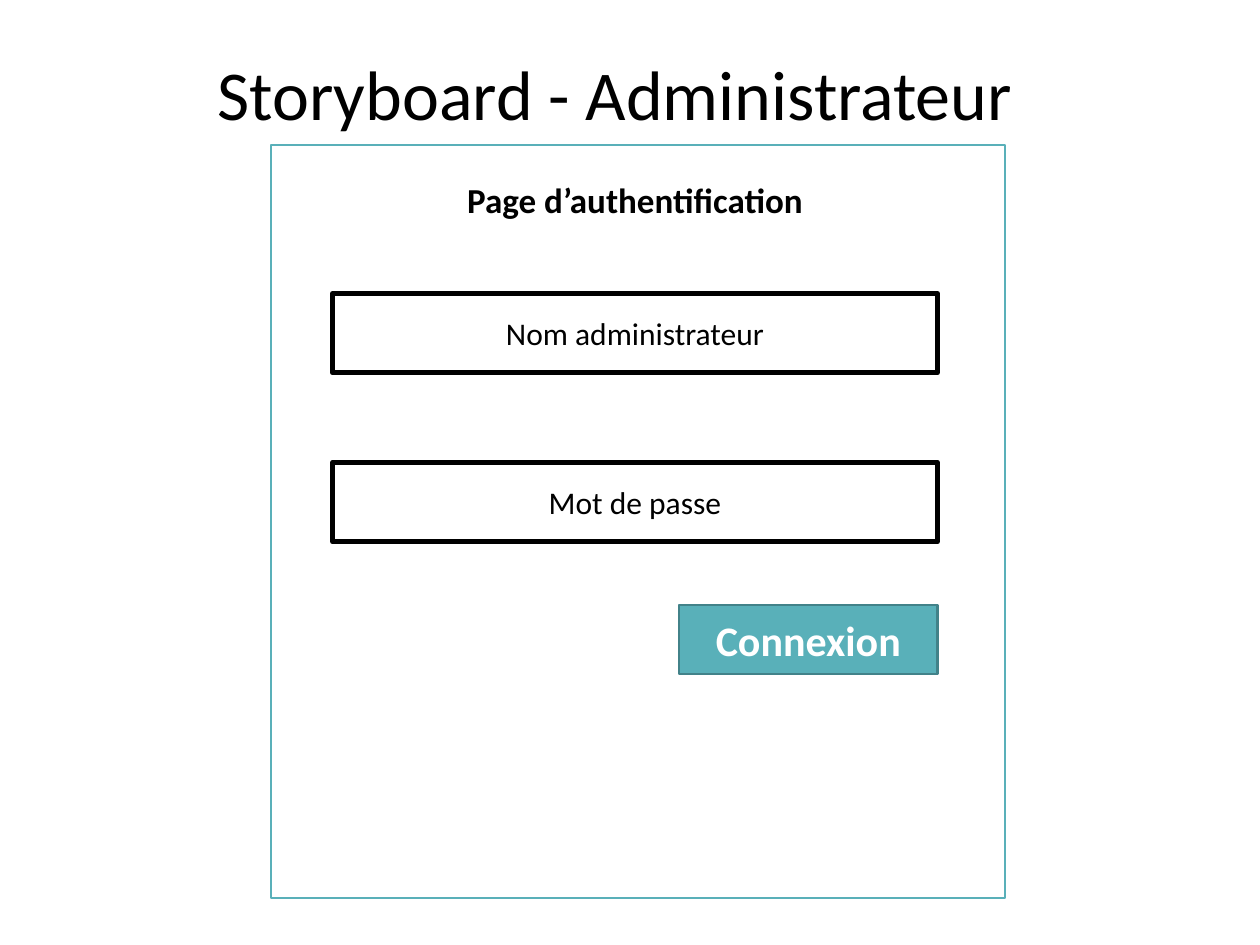
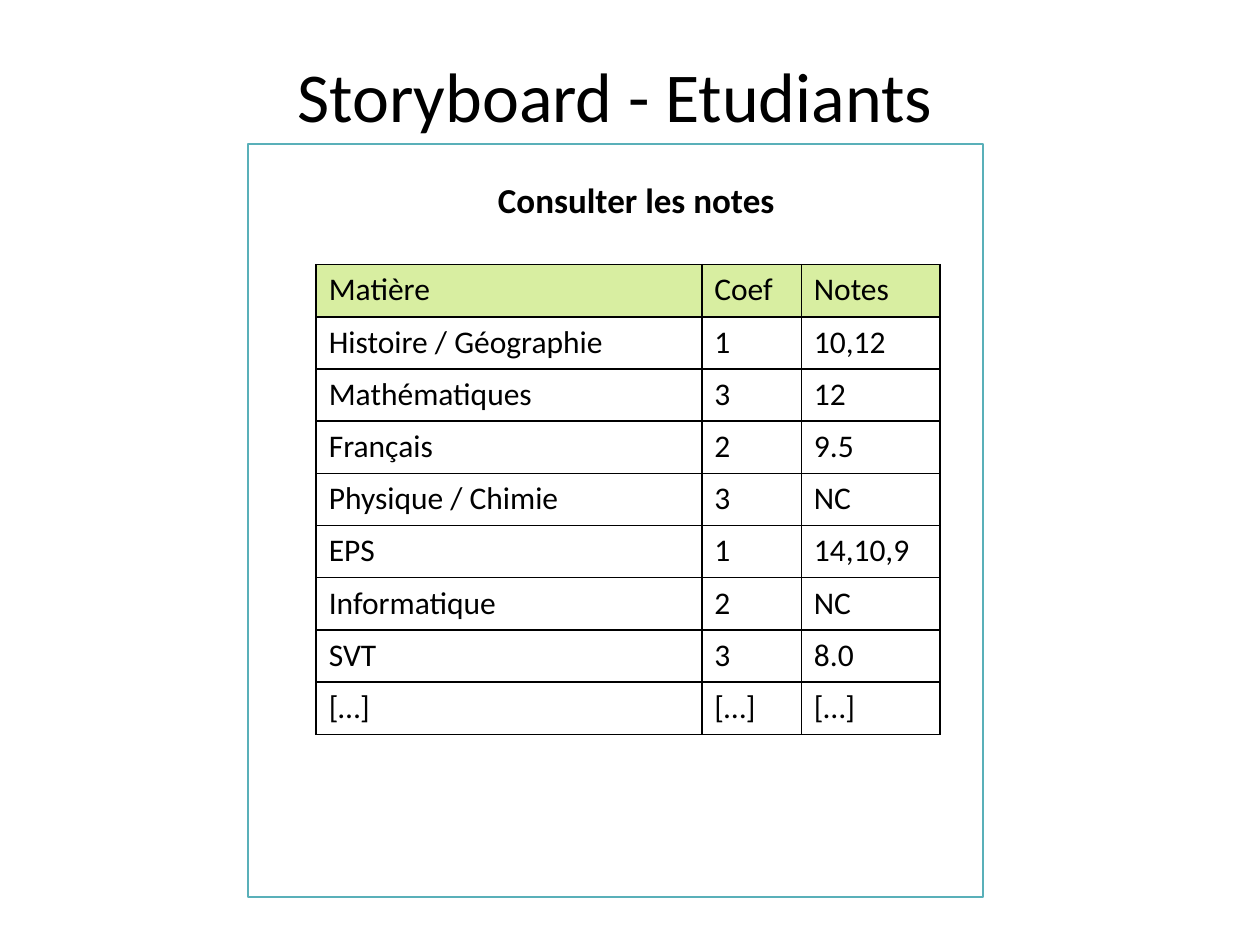
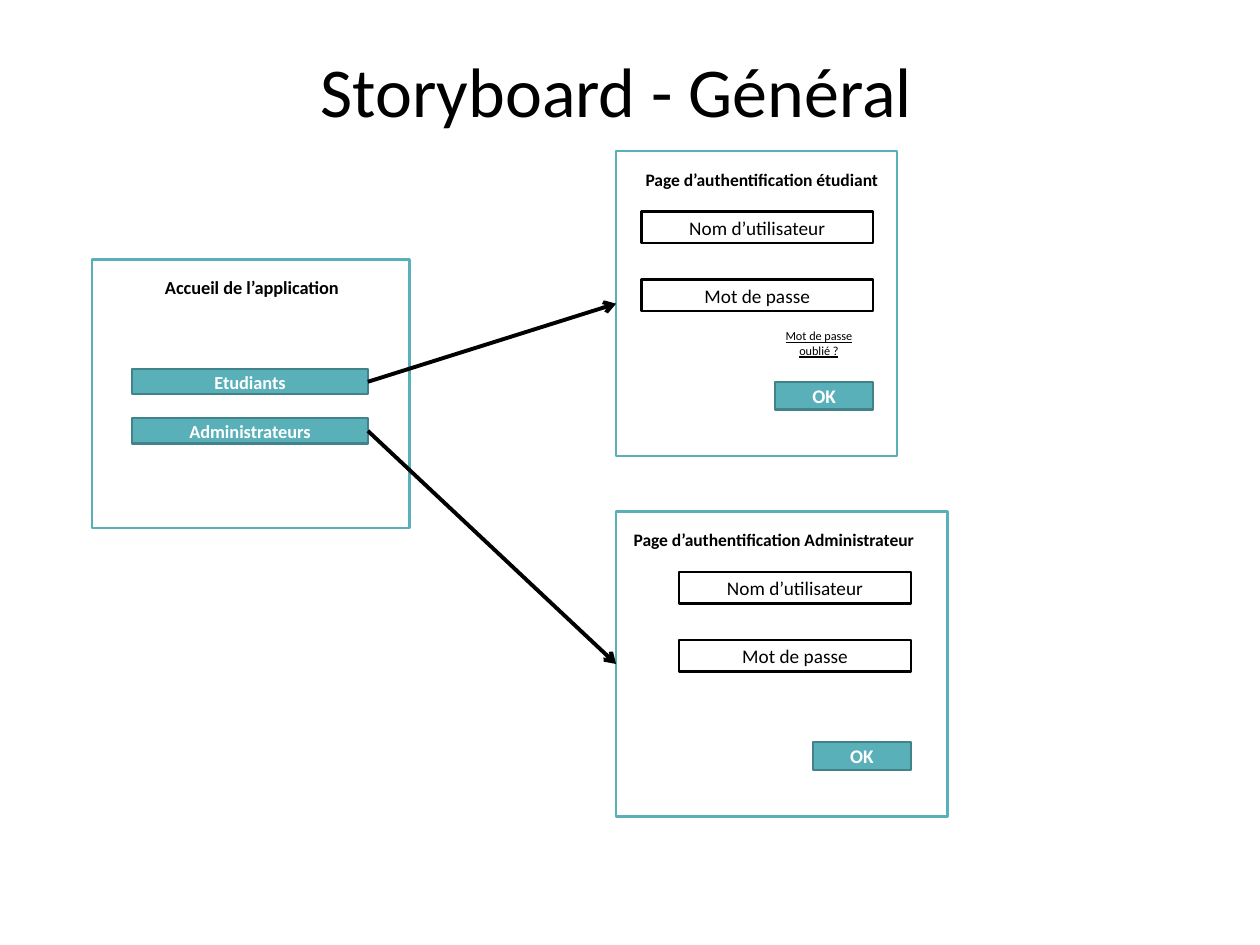
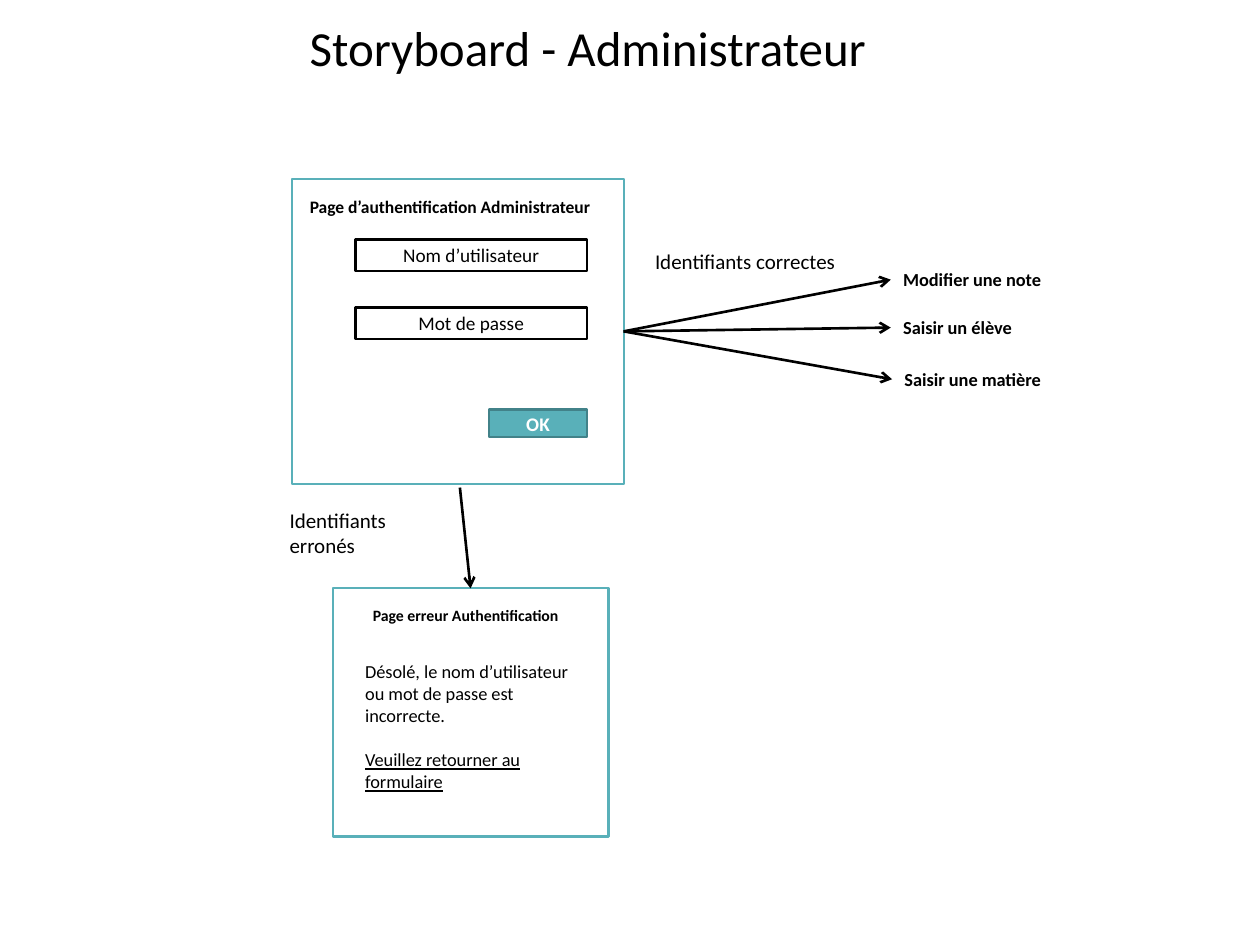
"""Build four storyboard slides for a school marks application."""
from dataclasses import dataclass, replace
from typing import Any, Optional

from lxml import etree
from pptx import Presentation
from pptx import util as u
from pptx.dml import color as dml
from pptx.enum import shapes, text
from pptx.oxml import ns

PX = 9144
FACE = "Calibri"
HEX = {
    "ink": "000000",
    "paper": "FFFFFF",
    "teal": "59B0B9",
    "edge": "428289",
    "lime": "D8EEA1",
}
MARKS = [
    ("Matière", "Coef", "Notes"),
    ("Histoire / Géographie", "1", "10,12"),
    ("Mathématiques", "3", "12"),
    ("Français", "2", "9.5"),
    ("Physique / Chimie", "3", "NC"),
    ("EPS", "1", "14,10,9"),
    ("Informatique", "2", "NC"),
    ("SVT", "3", "8.0"),
    ("[…]", "[…]", "[…]"),
]
LEFT, MID = text.PP_ALIGN.LEFT, text.PP_ALIGN.CENTER
TOP, WEST, EAST = 0, 1, 3


@dataclass(frozen=True)
class Area:
    x: int
    y: int
    w: int
    h: int

    def emu(self) -> list[u.Emu]:
        return [u.Emu(n * PX) for n in (self.x, self.y, self.w, self.h)]


@dataclass(frozen=True)
class Type:
    size: float
    hue: str = "ink"
    bold: bool = False
    under: bool = False
    align: Any = MID
    after: float = 0


@dataclass(frozen=True)
class Skin:
    fill: Optional[str]
    line: str
    width: float


PANEL = Skin("paper", "teal", 1.25)
BUTTON = Skin("teal", "edge", 1.25)
FIELD = Skin("paper", "ink", 1.5)
CLEAR = replace(FIELD, fill=None)


def rgb(name: str) -> dml.RGBColor:
    return dml.RGBColor.from_string(HEX[name])


def write(frame: Any, *parts: tuple[str, Type]) -> None:
    """Write one paragraph for each part, breaking lines at newlines."""
    frame.word_wrap = True
    for i, (words, look) in enumerate(parts):
        para = frame.add_paragraph() if i else frame.paragraphs[0]
        para.alignment = look.align
        para.space_after = u.Pt(look.after)
        for j, line in enumerate(words.split("\n")):
            if j:
                para.add_line_break()
            run = para.add_run()
            run.text = line
            font = run.font
            font.name, font.size = FACE, u.Pt(look.size)
            font.bold, font.underline = look.bold, look.under
            font.color.rgb = rgb(look.hue)


def label(host: Any, area: Area, *parts: tuple[str, Type]) -> Any:
    box = host.add_textbox(*area.emu())
    write(box.text_frame, *parts)
    return box


def block(host: Any, area: Area, skin: Skin, words: str = "", look: Type = Type(11)) -> Any:
    box = host.add_shape(shapes.MSO_SHAPE.RECTANGLE, *area.emu())
    box.shadow.inherit = False
    if skin.fill:
        box.fill.solid()
        box.fill.fore_color.rgb = rgb(skin.fill)
    else:
        box.fill.background()
    box.line.color.rgb = rgb(skin.line)
    box.line.width = u.Pt(skin.width)
    if words:
        box.text_frame.vertical_anchor = text.MSO_ANCHOR.MIDDLE
        write(box.text_frame, (words, look))
    return box


def button(host: Any, area: Area, words: str, size: float) -> Any:
    return block(host, area, BUTTON, words, Type(size, "paper", True))


def arrow(host: Any, width: float, goal: Any, side: int, start: Any = None,
          spot: tuple[int, int] = (0, 0)) -> None:
    """Draw an arrow to a side of goal, from the right of start or from a spot."""
    x, y = (n * PX for n in spot)
    link = host.add_connector(shapes.MSO_CONNECTOR.STRAIGHT, x, y, x, y)
    if start is not None:
        link.begin_connect(start, EAST)
    link.end_connect(goal, side)
    link.line.color.rgb = rgb("ink")
    link.line.width = u.Pt(width)
    etree.SubElement(link.line._get_or_add_ln(), ns.qn("a:tailEnd"), type="arrow")
    etree.SubElement(link._element.spPr, ns.qn("a:effectLst"))


def start(deck: Any, words: str, area: Area, size: float = 40) -> Any:
    """Add a title-only slide and return its shapes."""
    host = deck.slides.add_slide(deck.slide_layouts[5]).shapes
    title = host.title
    title.left, title.top, title.width, title.height = area.emu()
    frame = title.text_frame
    frame.auto_size = text.MSO_AUTO_SIZE.NONE
    frame.vertical_anchor = text.MSO_ANCHOR.TOP
    write(frame, (words, Type(size)))
    return host


def login(host: Any, area: Area, head: Area, words: str, inset: int) -> tuple[Any, Any]:
    """Draw a small login page and return its group shapes and its panel."""
    group = host.add_group_shape().shapes
    panel = block(group, area, PANEL)
    label(group, head, (words, Type(10, bold=True)))
    x, wide, small = area.x + inset, 184, 78
    block(group, Area(x, area.y + 48, wide, 25), FIELD, "Nom d’utilisateur")
    block(group, Area(x, area.y + 102, wide, 25), CLEAR, "Mot de passe")
    button(group, Area(x + wide - small, area.y + 183, small, 22), "OK", 11)
    return group, panel


def admin(host: Any, x: int, y: int) -> Any:
    return login(host, Area(x, y, 263, 242), Area(x - 5, y + 9, 260, 27),
                 "Page d’authentification Administrateur", 50)[1]


def grid(host: Any, area: Area, wide: tuple[int, ...]) -> None:
    """Draw the table of marks with thin black borders."""
    table = host.add_table(len(MARKS), len(wide), *area.emu()).table
    table.first_row = table.horz_banding = False
    for col, w in zip(table.columns, wide):
        col.width = u.Emu(w * PX)
    for r, row in enumerate(MARKS):
        for c, words in enumerate(row):
            cell = table.cell(r, c)
            props = cell._tc.get_or_add_tcPr()
            for side in ("lnL", "lnR", "lnT", "lnB"):
                line = etree.SubElement(props, ns.qn("a:" + side), w=str(u.Pt(1)))
                fill = etree.SubElement(line, ns.qn("a:solidFill"))
                etree.SubElement(fill, ns.qn("a:srgbClr"), val=HEX["ink"])
            if r:
                cell.fill.background()
            else:
                cell.fill.solid()
                cell.fill.fore_color.rgb = rgb("lime")
            write(cell.text_frame, (words, Type(18, align=LEFT)))


def access(deck: Any) -> None:
    host = start(deck, "Storyboard - Administrateur", Area(63, 35, 850, 77))
    block(host, Area(215, 115, 583, 598), PANEL)
    label(host, Area(264, 137, 480, 44), ("Page d’authentification", Type(20, bold=True)))
    for y, skin, words in ((233, FIELD, "Nom administrateur"), (367, CLEAR, "Mot de passe")):
        block(host, Area(264, y, 480, 63), replace(skin, width=3), words, Type(18))
    button(host, Area(539, 480, 205, 55), "Connexion", 24)


def marks(deck: Any) -> None:
    host = start(deck, "Storyboard - Etudiants", Area(63, 37, 850, 77))
    block(host, Area(197, 114, 583, 598), PANEL)
    label(host, Area(265, 137, 480, 44), ("Consulter les notes", Type(20, bold=True)))
    grid(host, Area(251, 210, 495, 373), (306, 79, 110))


def general(deck: Any) -> None:
    host = start(deck, "Storyboard - Général", Area(64, 33, 850, 77))
    home = host.add_group_shape().shapes
    block(home, Area(73, 206, 252, 213), PANEL)
    label(home, Area(96, 214, 208, 28), ("Accueil de l’application", Type(10.5, bold=True)))
    staff = button(home, Area(105, 332, 187, 20), "Administrateurs", 10.5)
    pupils = button(host, Area(105, 293, 187, 20), "Etudiants", 10.5)
    group, page = login(host, Area(489, 120, 223, 242), Area(497, 129, 215, 27),
                        "Page d’authentification étudiant", 20)
    label(group, Area(607, 256, 86, 25), ("Mot de passe oublié ?", Type(7, under=True)))
    arrow(host, 2.25, page, WEST, pupils)
    arrow(host, 2.25, admin(host, 489, 406), WEST, staff)


def paths(deck: Any) -> None:
    host = start(deck, "Storyboard - Administrateur", Area(106, 9, 721, 57), 28)
    page = admin(host, 232, 142)
    bold = Type(10.5, bold=True, align=LEFT)
    for x, y, words in ((707, 208, "Modifier une note"), (707, 246, "Saisir un élève"),
                        (708, 287, "Saisir une matière")):
        task = label(host, Area(x, y, 240, 28), (words, bold))
        arrow(host, 1.5, task, WEST, page)
    note = Type(12, align=LEFT)
    label(host, Area(510, 192, 195, 30), ("Identifiants correctes", note))
    label(host, Area(220, 398, 113, 50), ("Identifiants\nerronés", note))
    group = host.add_group_shape().shapes
    error = block(group, Area(264, 467, 219, 197), PANEL)
    label(group, Area(279, 476, 181, 25), ("Page erreur Authentification", Type(9, bold=True)))
    body = Type(10.5, align=LEFT)
    label(group, Area(280, 519, 186, 27),
          ("Désolé, le nom d’utilisateur ou mot de passe est incorrecte.", replace(body, after=12.8)),
          ("Veuillez retourner au formulaire", replace(body, under=True)))
    arrow(host, 1.5, error, TOP, spot=(365, 387))


def main() -> None:
    deck = Presentation()
    deck.slide_width, deck.slide_height = u.Emu(1000 * PX), u.Emu(750 * PX)
    for build in (access, marks, general, paths):
        build(deck)
    deck.save("out.pptx")


if __name__ == "__main__":
    main()
